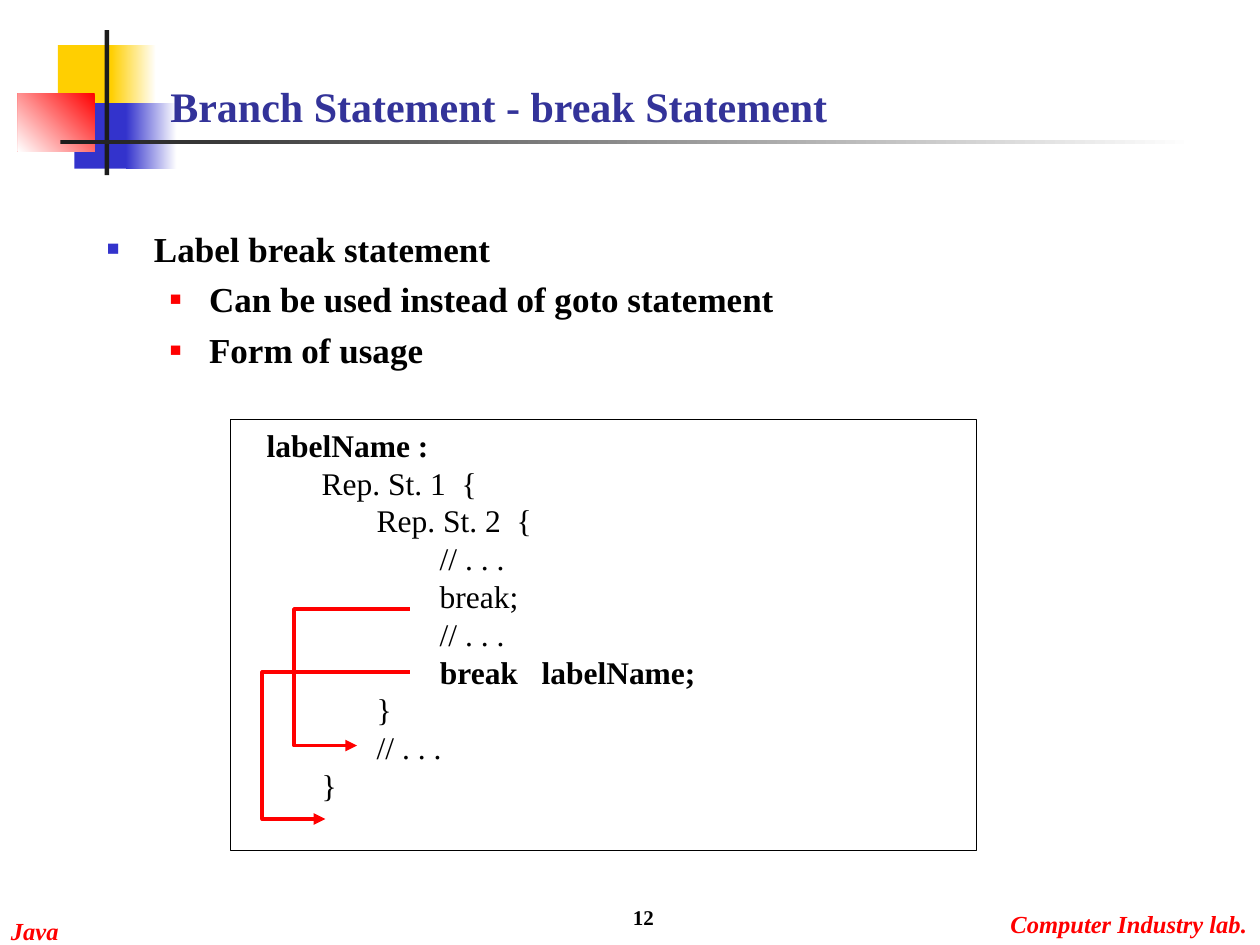
import pptx
import pptx.dml.color
import pptx.enum.shapes
import pptx.enum.text
import pptx.oxml
import pptx.oxml.ns
import pptx.util
from pptx.util import Cm

RGBColor = pptx.dml.color.RGBColor
ANCHOR = pptx.enum.text.MSO_ANCHOR
ALIGN = pptx.enum.text.PP_ALIGN
AUTO_SIZE = pptx.enum.text.MSO_AUTO_SIZE
RECTANGLE = pptx.enum.shapes.MSO_SHAPE.RECTANGLE

YELLOW = RGBColor(0xFF, 0xCF, 0x01)
BLUE = RGBColor(0x33, 0x33, 0xCC)
TITLE_BLUE = RGBColor(0x33, 0x33, 0x99)
RED = RGBColor(0xFF, 0x00, 0x00)
CHARCOAL = RGBColor(0x1C, 0x1C, 0x1C)
BLACK = RGBColor(0x00, 0x00, 0x00)
WHITE = RGBColor(0xFF, 0xFF, 0xFF)


def add_span(para, text, size, color=BLACK, bold=True, italic=False):
    span = para.add_run()
    span.text = text
    span.font.name = "Times New Roman"
    span.font.size = pptx.util.Pt(size)
    span.font.color.rgb = color
    span.font.bold = bold
    span.font.italic = italic


def add_xml(parent, tag, **attributes):
    child = pptx.oxml.parse_xml(f"<a:{tag} {pptx.oxml.ns.nsdecls('a')}/>")
    for name, value in attributes.items():
        child.set(name, value)
    parent.append(child)
    return child


deck = pptx.Presentation()
deck.slide_width, deck.slide_height = Cm(25.4), Cm(19.05)
page = deck.slides.add_slide(deck.slide_layouts[1])
title, body = page.placeholders

# Header decoration: left, top, width, height, colour, angle of the fade to white
decoration = [
    (1.17, 0.91, 1.22, 1.32, YELLOW, None),
    (2.24, 0.91, 0.91, 1.32, YELLOW, 0),
    (1.5, 2.08, 1.17, 1.32, BLUE, None),
    (2.54, 2.08, 1.02, 1.32, BLUE, 0),
    (0.36, 1.88, 1.55, 1.17, RED, 225),
    (2.11, 0.61, 0.09, 2.92, CHARCOAL, None),
    (1.22, 2.82, 22.86, 0.09, CHARCOAL, 0),
]
for *bounds, color, angle in decoration:
    block = page.shapes.add_shape(RECTANGLE, *map(Cm, bounds))
    block.shadow.inherit = False
    block.line.fill.background()
    if angle is None:
        block.fill.solid()
        block.fill.fore_color.rgb = color
    else:
        block.fill.gradient()
        block.fill.gradient_angle = angle
        for stop, stop_color in zip(block.fill.gradient_stops, (color, WHITE)):
            stop.color.rgb = stop_color
    # Keep the decoration behind the title and the list
    title.element.addprevious(block.element)

# Title
title.left, title.top, title.width, title.height = map(Cm, (3.18, 0.43, 21.67, 2.34))
title.text_frame.auto_size = AUTO_SIZE.NONE
title.text_frame.vertical_anchor = ANCHOR.BOTTOM
para = title.text_frame.paragraphs[0]
para.alignment = ALIGN.LEFT
add_span(para, "Branch Statement - break Statement", 24, TITLE_BLUE)

# Bulleted list: indent and hanging are in centimetres
body.left, body.top, body.width, body.height = map(Cm, (1.9, 4.45, 22.02, 12.07))
body.text_frame.auto_size = AUTO_SIZE.NONE
level_styles = [(0.95, 0.95, "3333CC", "60000"), (2.06, 0.79, "FF0000", "55000")]
items = [
    (0, "Label break statement"),
    (1, "Can be used instead of goto statement"),
    (1, "Form of usage"),
]
for index, (level, text) in enumerate(items):
    para = body.text_frame.add_paragraph() if index else body.text_frame.paragraphs[0]
    indent, hanging, bullet_color, bullet_size = level_styles[level]
    para.level = level
    properties = para._p.get_or_add_pPr()
    properties.set("marL", str(Cm(indent)))
    properties.set("indent", str(-Cm(hanging)))
    add_xml(add_xml(properties, "buClr"), "srgbClr", val=bullet_color)
    add_xml(properties, "buSzPct", val=bullet_size)
    add_xml(properties, "buChar", char="■")
    para.space_before = pptx.util.Pt(5 if index else 0)
    add_span(para, text, 20)

# Code listing: leading text and bold text of each line
code = [
    ("   ", "labelName :"),
    ("          Rep. St. 1  {", ""),
    ("                 Rep. St. 2  {", ""),
    ("                         // . . .", ""),
    ("                         break;", ""),
    ("                         // . . .", ""),
    ("                         ", "break   labelName;"),
    ("                 }", ""),
    ("                 // . . .", ""),
    ("          }", ""),
]
code_box = page.shapes.add_shape(RECTANGLE, Cm(4.65), Cm(8.46), Cm(15.04), Cm(8.68))
code_box.shadow.inherit = False
code_box.fill.solid()
code_box.fill.fore_color.rgb = WHITE
code_box.line.color.rgb = BLACK
code_box.line.width = pptx.util.Pt(0.75)
code_box.text_frame.word_wrap = True
code_box.text_frame.vertical_anchor = ANCHOR.TOP
for index, (plain, bold) in enumerate(code):
    para = code_box.text_frame.add_paragraph() if index else code_box.text_frame.paragraphs[0]
    para.alignment = ALIGN.LEFT
    add_span(para, plain, 18, bold=False)
    if bold:
        add_span(para, bold, 18)

# Jump arrows: start x, left x, top, bottom
for start, left, top, bottom in [(8.26, 5.93, 12.28, 15.03), (8.26, 5.29, 13.55, 16.51)]:
    jump = page.shapes.build_freeform(Cm(start), Cm(top))
    corners = [(left, top), (left, bottom), (left + 1.27, bottom)]
    jump.add_line_segments([(Cm(x), Cm(y)) for x, y in corners], close=False)
    arrow = jump.convert_to_shape()
    arrow.shadow.inherit = False
    arrow.fill.background()
    arrow.line.color.rgb = RED
    arrow.line.width = pptx.util.Pt(2.25)
    add_xml(arrow.line._get_or_add_ln(), "tailEnd", type="triangle")

# Footer labels
for text, *bounds in [
    ("Java", -0.03, 18.34, 1.47, 0.86),
    ("Computer Industry lab.", 20.12, 18.21, 5.28, 0.86),
]:
    label = page.shapes.add_textbox(*map(Cm, bounds))
    label.text_frame.word_wrap = False
    label.text_frame.auto_size = AUTO_SIZE.SHAPE_TO_FIT_TEXT
    add_span(label.text_frame.paragraphs[0], text, 14, RED, italic=True)

# Page number
number_box = page.shapes.add_textbox(Cm(8.15), Cm(17.6), Cm(5.28), Cm(1.27))
number_box.text_frame.word_wrap = True
number_box.text_frame.vertical_anchor = ANCHOR.BOTTOM
para = number_box.text_frame.paragraphs[0]
para.alignment = ALIGN.RIGHT
add_span(para, "12", 12)

deck.save("out.pptx")
